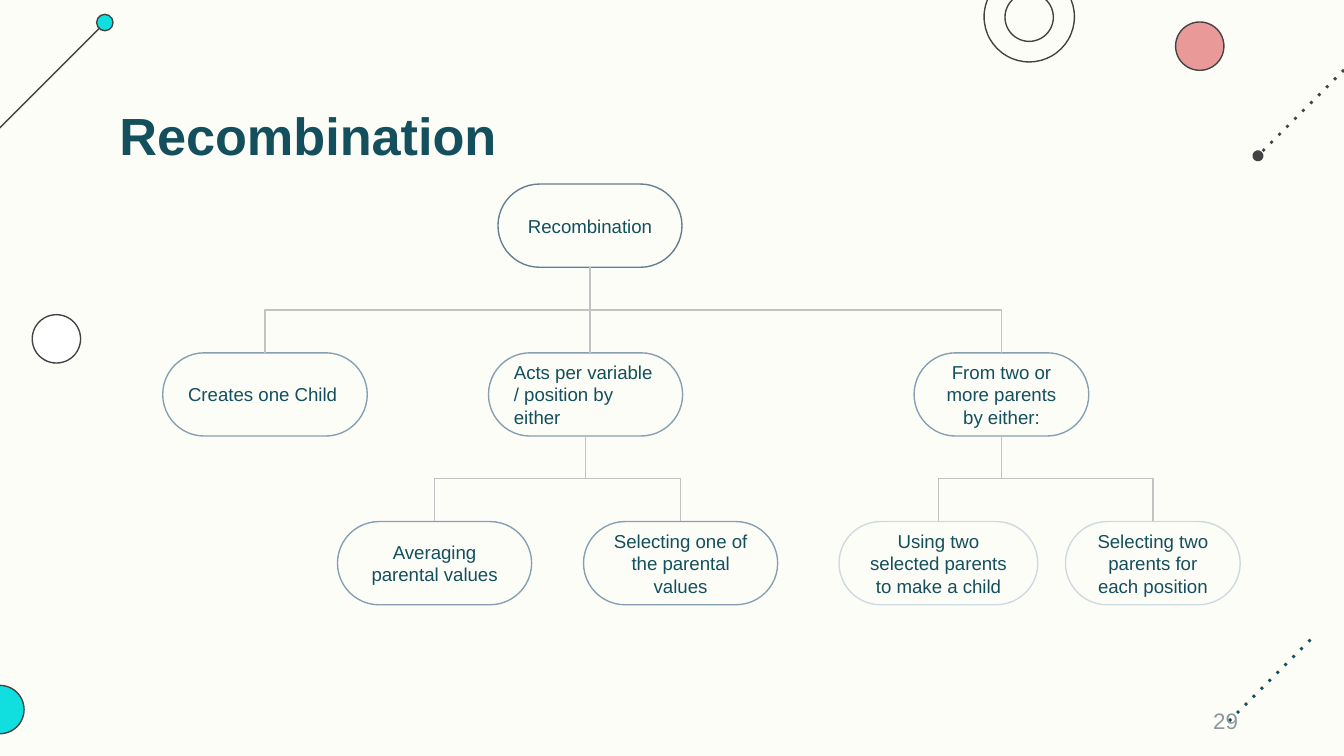
import pptx
import pptx.util
from lxml import etree
from pptx.dml.color import RGBColor
from pptx.enum.shapes import MSO_CONNECTOR, MSO_SHAPE
from pptx.enum.text import MSO_ANCHOR, PP_ALIGN
from pptx.oxml.ns import qn
from pptx.util import Pt

COLORS = {
    "background": "FDFDF8", "teal": "134F5C", "cyan": "11DFDF",
    "pink": "EA9999", "white": "FFFFFF", "outline": "434343",
    "branch": "C2C2C2", "root": "667E92", "child": "869FB1",
    "leaf": "CFD9E0", "number": "8C979C",
}
FONT = "Arial"
NODE_HEIGHT = 44.6
ROW_TOP, ROW_PITCH = 98.6, 90.4

# name: (row, left, width, outline, alignment, text)
NODES = {
    "root": (0, 266.8, 98.6, "root", PP_ALIGN.CENTER, "Recombination"),
    "child": (1, 87.2, 109.6, "child", PP_ALIGN.LEFT, "Creates one Child"),
    "variable": (1, 261.7, 104, "child", PP_ALIGN.LEFT,
                 "Acts per variable / position by either"),
    "parents": (1, 489.7, 93.6, "child", PP_ALIGN.CENTER,
                "From two or more parents by either:"),
    "averaging": (2, 180.8, 104, "child", PP_ALIGN.CENTER,
                  "Averaging parental values"),
    "one value": (2, 312.6, 104, "child", PP_ALIGN.CENTER,
                  "Selecting one of the parental values"),
    "two parents": (2, 449.5, 106.5, "leaf", PP_ALIGN.CENTER,
                    "Using two selected parents to make a child"),
    "each position": (2, 570.8, 93.6, "leaf", PP_ALIGN.CENTER,
                      "Selecting two parents for each position"),
}
BRANCHES = [
    ("root", "child"), ("root", "parents"),
    ("variable", "averaging"), ("variable", "one value"),
    ("parents", "two parents"), ("parents", "each position"),
]
# left, top, diameter, fill
CIRCLES = [
    (51.8, 7.7, 8.8, "cyan"),
    (629.8, 11.8, 25.9, "pink"),
    (527.2, -15.2, 48.4, None),
    (538.4, -3.7, 25.9, None),
    (17.3, 168.6, 25.9, "white"),
    (-13, 367.2, 25.9, "cyan"),
]


def color(name):
    return RGBColor.from_string(COLORS[name])


def set_text(frame, text, size, color_name, alignment, anchor, inset, bold=False):
    frame.word_wrap = True
    frame.vertical_anchor = anchor
    frame.margin_left = frame.margin_right = Pt(7.2)
    frame.margin_top = frame.margin_bottom = Pt(inset)
    paragraph = frame.paragraphs[0]
    paragraph.text = text
    paragraph.alignment = alignment
    paragraph.font.name = FONT
    paragraph.font.size = Pt(size)
    paragraph.font.bold = bold
    paragraph.font.color.rgb = color(color_name)
    return paragraph


def add_outlined(slide, kind, left, top, width, height, line, fill=None):
    shape = slide.shapes.add_shape(kind, Pt(left), Pt(top), Pt(width), Pt(height))
    shape.shadow.inherit = False
    shape.line.color.rgb = color(line)
    shape.line.width = Pt(0.75)
    if fill:
        shape.fill.solid()
        shape.fill.fore_color.rgb = color(fill)
    else:
        shape.fill.background()
    return shape


def add_node(slide, row, left, width, line, alignment, text):
    shape = add_outlined(slide, MSO_SHAPE.ROUNDED_RECTANGLE, left,
                         ROW_TOP + row * ROW_PITCH, width, NODE_HEIGHT, line)
    shape.adjustments[0] = 0.5
    set_text(shape.text_frame, text, 10, "teal", alignment, MSO_ANCHOR.MIDDLE, 7.2)
    return shape


def add_line(slide, kind, start, end, line, width=0.75):
    connector = slide.shapes.add_connector(
        kind, Pt(start[0]), Pt(start[1]), Pt(end[0]), Pt(end[1]))
    connector.line.color.rgb = color(line)
    connector.line.width = Pt(width)
    etree.SubElement(connector._element.spPr, qn("a:effectLst"))
    return connector


def add_dotted_line(slide, start, end, line, tail=None):
    connector = add_line(slide, MSO_CONNECTOR.STRAIGHT, start, end, line, 1.5)
    outline = connector.line._get_or_add_ln()
    etree.SubElement(outline, qn("a:prstDash"), val="dot")
    if tail:
        etree.SubElement(outline, qn("a:tailEnd"), type=tail)


def add_branch(slide, parent, child):
    """Elbow that leaves the parent downwards and enters the child's top."""
    connector = add_line(slide, MSO_CONNECTOR.ELBOW, (0, 0), (0, 0), "branch")
    connector.begin_connect(parent, 2)
    connector.end_connect(child, 0)
    start_x, end_x = connector.begin_x, connector.end_x
    start_y, end_y = connector.begin_y, connector.end_y
    drop, run = end_y - start_y, abs(end_x - start_x)
    # A quarter turn makes the first leg vertical
    connector.left = (start_x + end_x - drop) // 2
    connector.top = (start_y + end_y - run) // 2
    connector.width, connector.height = drop, run
    transform = connector._element.spPr.find(qn("a:xfrm"))
    transform.set("rot", "5400000")
    transform.set("flipH", "0")
    transform.set("flipV", "1" if end_x > start_x else "0")


def add_text(slide, left, top, width, height, *text_settings, **options):
    box = slide.shapes.add_textbox(Pt(left), Pt(top), Pt(width), Pt(height))
    return set_text(box.text_frame, *text_settings, **options)


def main():
    presentation = pptx.Presentation()
    presentation.slide_width, presentation.slide_height = Pt(720), Pt(405)
    slide = presentation.slides.add_slide(presentation.slide_layouts[6])
    slide.background.fill.solid()
    slide.background.fill.fore_color.rgb = color("background")

    # Decoration
    for left, top, diameter, fill in CIRCLES:
        add_outlined(slide, MSO_SHAPE.OVAL, left, top, diameter, diameter,
                     "outline", fill)
    add_line(slide, MSO_CONNECTOR.STRAIGHT, (53.3, 15.1), (-13, 81.4), "outline")
    add_dotted_line(slide, (720, 37.4), (673.9, 83.5), "outline", tail="oval")
    add_dotted_line(slide, (702, 342.7), (655.9, 388.8), "teal")

    # Title
    title = add_text(slide, 56.9, 43.2, 607.7, 45.4, "Recombination", 28, "teal",
                     PP_ALIGN.LEFT, MSO_ANCHOR.TOP, 7.2, bold=True)
    title.line_spacing = 1.15

    # Tree
    nodes = {name: add_node(slide, *settings) for name, settings in NODES.items()}
    for parent, child in BRANCHES:
        add_branch(slide, nodes[parent], nodes[child])
    trunk_x = NODES["root"][1] + NODES["root"][2] / 2
    trunk = add_line(slide, MSO_CONNECTOR.STRAIGHT, (trunk_x, ROW_TOP + NODE_HEIGHT),
                     (trunk_x, ROW_TOP + ROW_PITCH), "branch")
    trunk.begin_connect(nodes["root"], 2)

    # Slide number
    add_text(slide, 508.3, 375.1, 162, 21.6, "29", 12, "number",
             PP_ALIGN.RIGHT, MSO_ANCHOR.MIDDLE, 3.6)

    presentation.save("out.pptx")


if __name__ == "__main__":
    main()
